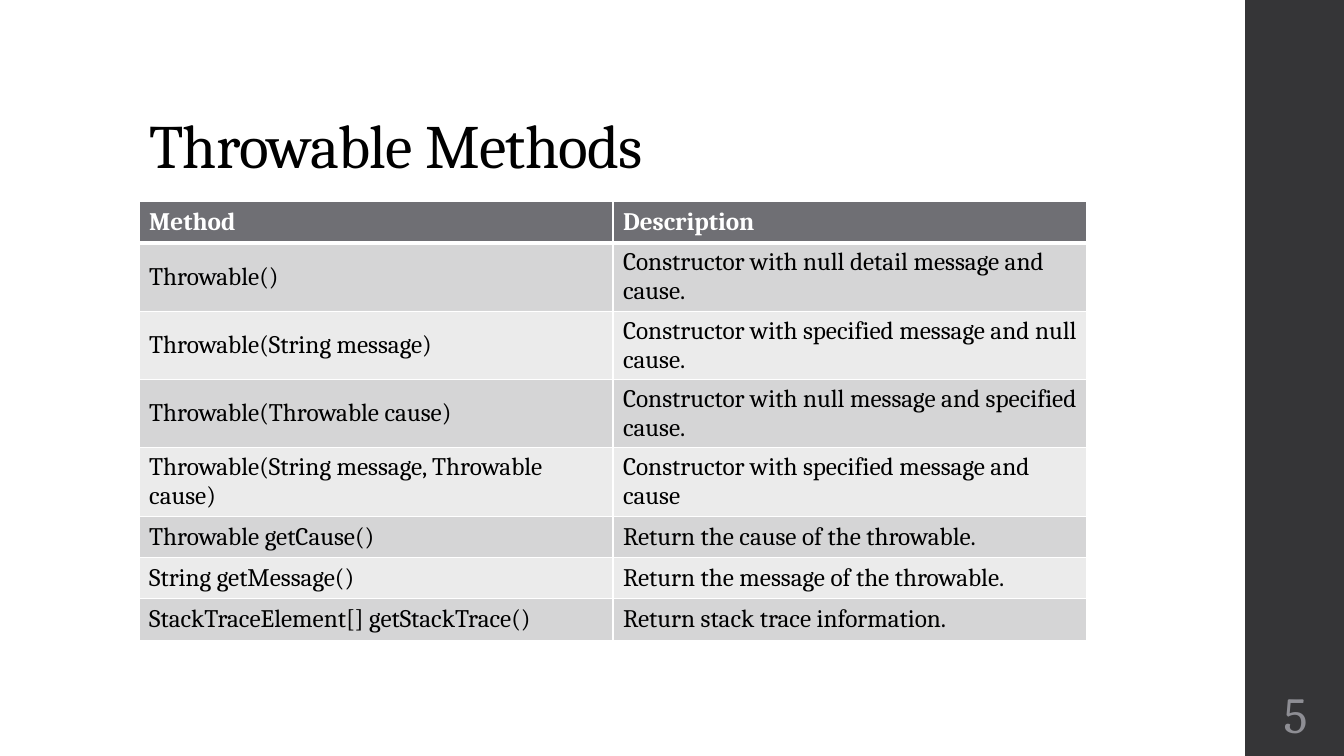
from lxml.etree import SubElement as Sub
from pptx import Presentation
from pptx.dml.color import RGBColor as Rgb
from pptx.enum.shapes import MSO_SHAPE as Shape
from pptx.enum.text import MSO_ANCHOR as Anchor, MSO_AUTO_SIZE as Fit, PP_ALIGN as Align
from pptx.oxml.ns import qn
from pptx.util import Inches, Pt

HUES = {"bar": "353537", "head": "6F6F74", "odd": "D5D5D6", "even": "EBEBEB",
        "ink": "000000", "rule": "FFFFFF", "page": "8E8E94"}
FONT = "Cambria"
WIDE, HIGH = Inches(13.33), Inches(7.5)
LEFT, SIDE = 10.35, 92.65  # grid columns of the content and of the side bar

ROWS = [
    ("Method", "Description"),
    ("Throwable()", "Constructor with null detail message and cause."),
    ("Throwable(String message)", "Constructor with specified message and null cause."),
    ("Throwable(Throwable cause)", "Constructor with null message and specified cause."),
    ("Throwable(String message, Throwable cause)", "Constructor with specified message and cause"),
    ("Throwable getCause()", "Return the cause of the throwable."),
    ("String getMessage()", "Return the message of the throwable."),
    ("StackTraceElement[] getStackTrace()", "Return stack trace information."),
]


def place(col, row, cols, rows):
    """Turn cells of a 100 by 100 grid into lengths."""
    return [int(n * size / 100) for n, size in
            ((col, WIDE), (row, HIGH), (cols, WIDE), (rows, HIGH))]


def apply(item, form):
    for name, value in form.items():
        setattr(item, name, value)


class Page:
    def __init__(self, deck):
        self.slide = deck.slides.add_slide(deck.slide_layouts[5])
        self.shapes = self.slide.shapes

    def label(self, frame, text, size, hue, bold=False):
        para = frame.paragraphs[0]
        run = para.add_run()
        run.text = text
        apply(run.font, {"name": FONT, "size": Pt(size), "bold": bold})
        run.font.color.rgb = Rgb.from_string(HUES[hue])
        return para, run

    def bar(self, spot, hue):
        bar = self.shapes.add_shape(Shape.RECTANGLE, *place(*spot))
        bar.shadow.inherit = False
        bar.fill.solid()
        bar.fill.fore_color.rgb = Rgb.from_string(HUES[hue])
        bar.line.fill.background()

    def title(self, spot, text):
        title = self.shapes.title
        apply(title, dict(zip(("left", "top", "width", "height"), place(*spot))))
        apply(title.text_frame, {"vertical_anchor": Anchor.BOTTOM, "word_wrap": True,
                                 "auto_size": Fit.NONE})
        para, run = self.label(title.text_frame, text, 44, "ink")
        apply(para, {"alignment": Align.LEFT, "line_spacing": 0.9})
        run._r.get_or_add_rPr().set("spc", "-50")

    def number(self, spot, text):
        frame = self.shapes.add_textbox(*place(*spot)).text_frame
        edges = ("margin_left", "margin_top", "margin_right", "margin_bottom")
        apply(frame, dict.fromkeys(edges, Inches(0.05)))
        apply(frame, {"vertical_anchor": Anchor.MIDDLE, "word_wrap": True})
        para, _ = self.label(frame, text, 36, "page")
        para.alignment = Align.CENTER

    def edge(self, cell, widths):
        props = cell._tc.get_or_add_tcPr()
        for spot, (side, width) in enumerate(widths.items()):
            line = Sub(props, qn("a:ln" + side), w=str(int(Pt(width))))
            fill = Sub(line, qn("a:solidFill"))
            Sub(fill, qn("a:srgbClr"), val=HUES["rule"])
            props.insert(spot, line)  # borders come before the fill

    def table(self, spot, rows):
        table = self.shapes.add_table(len(rows), len(rows[0]), *place(*spot)).table
        for r, row in enumerate(rows):
            head = r == 0
            hue = "head" if head else ("even", "odd")[r % 2]
            for c, text in enumerate(row):
                cell = table.cell(r, c)
                cell.vertical_anchor = Anchor.MIDDLE
                cell.fill.solid()
                cell.fill.fore_color.rgb = Rgb.from_string(HUES[hue])
                self.label(cell.text_frame, text, 18, "rule" if head else "ink", head)
                self.edge(cell, {"L": 1, "R": 1, "T": 3 if r == 1 else 1,
                                 "B": 3 if head else 1})


def main():
    deck = Presentation()
    apply(deck, {"slide_width": WIDE, "slide_height": HIGH})
    page = Page(deck)
    # Side bar
    page.bar((SIDE, 0, 7.5, 100), "bar")
    # Title and table of methods
    page.title((LEFT, 5.33, 79.52, 19.33), "Throwable Methods")
    page.table((LEFT, 26.67, 70.52, 5.47 * len(ROWS)), ROWS)
    # Slide number
    page.number((SIDE, 90, 7.5, 8.67), "5")
    deck.save("out.pptx")


if __name__ == "__main__":
    main()
